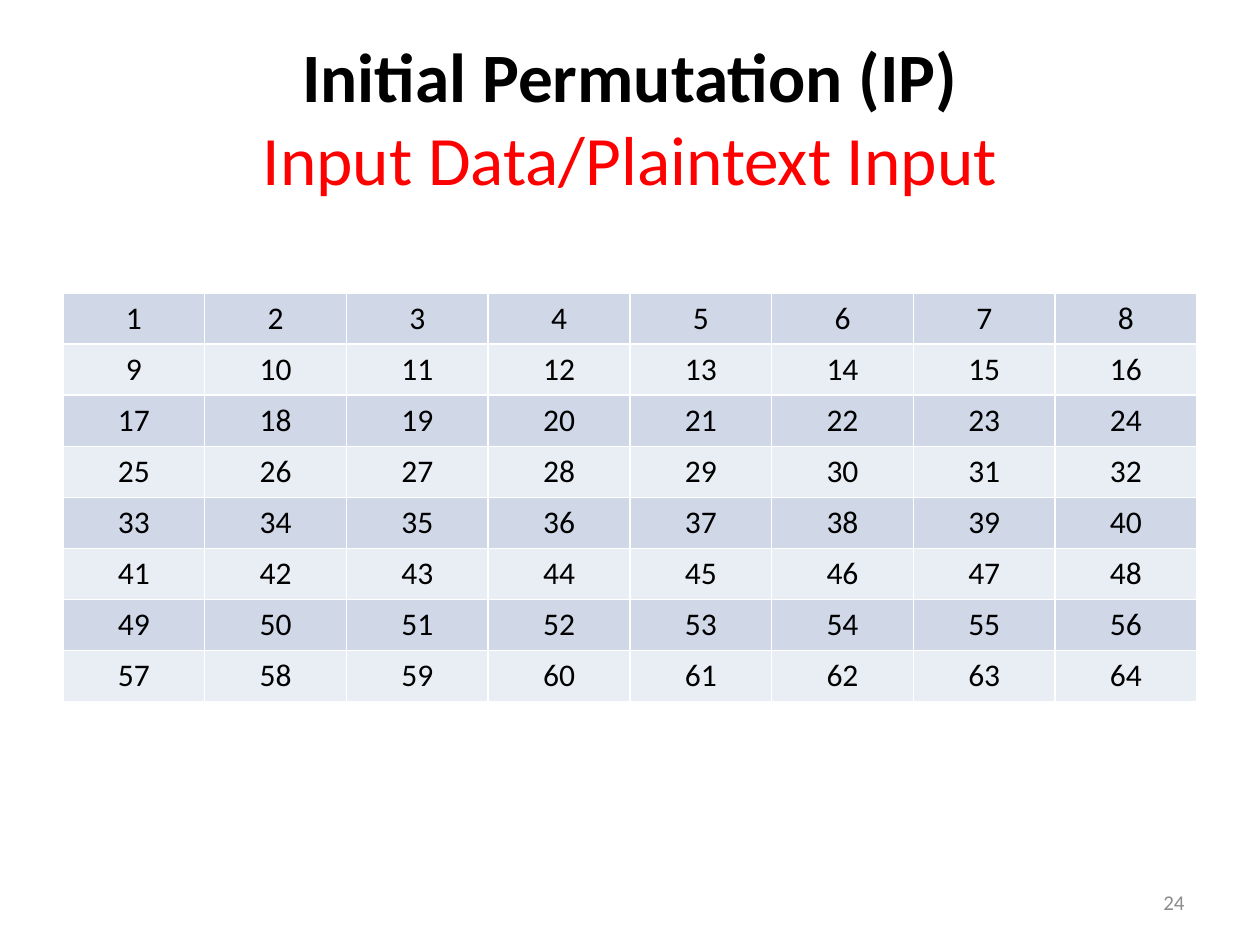
import dataclasses

import pptx
import pptx.dml.color
import pptx.enum.text
import pptx.oxml
import pptx.oxml.ns
import pptx.util

ALIGN = pptx.enum.text.PP_ALIGN
ANCHOR = pptx.enum.text.MSO_ANCHOR


@dataclasses.dataclass(frozen=True)
class Theme:
    """Colours, font and type sizes of the slide."""
    font: str = "Calibri"
    ink: str = "000000"
    accent: str = "FF0000"
    muted: str = "8C8C8C"
    border: str = "FFFFFF"
    bands: tuple = ("D0D8E8", "E9EDF4")
    title_size: float = 39.6
    cell_size: float = 18
    number_size: float = 12


class Deck:
    """Builds elements on the current slide from shares of its size."""

    def __init__(self, theme, width, height):
        """Start a presentation of the given size in inches."""
        self.theme = theme
        self.prs = pptx.Presentation()
        self.prs.slide_width = pptx.util.Inches(width)
        self.prs.slide_height = pptx.util.Inches(height)
        self.s = None

    def box(self, left, top, width, height):
        """Turn shares of the slide into lengths."""
        w, h = self.prs.slide_width, self.prs.slide_height
        return round(left * w), round(top * h), round(width * w), round(height * h)

    def add_run(self, p, text, size, color, bold=False):
        """Add a formatted run to a paragraph."""
        r = p.add_run()
        r.text = text
        formats = {"name": self.theme.font, "size": pptx.util.Pt(size), "bold": bold}
        for name, value in formats.items():
            setattr(r.font, name, value)
        r.font.color.rgb = pptx.dml.color.RGBColor.from_string(color)

    def format_frame(self, tf):
        """Wrap and centre a text frame vertically without resizing."""
        formats = {"word_wrap": True, "vertical_anchor": ANCHOR.MIDDLE,
                   "auto_size": pptx.enum.text.MSO_AUTO_SIZE.NONE}
        for name, value in formats.items():
            setattr(tf, name, value)

    def add_title(self, heading, subheading, box):
        """Add a title-only slide with a two-line title."""
        self.s = self.prs.slides.add_slide(self.prs.slide_layouts[5])
        sp = self.s.shapes.title
        for name, value in zip(("left", "top", "width", "height"), self.box(*box)):
            setattr(sp, name, value)
        self.format_frame(sp.text_frame)
        p = sp.text_frame.paragraphs[0]
        p.alignment = ALIGN.CENTER
        self.add_run(p, heading, self.theme.title_size, self.theme.ink, bold=True)
        p.add_line_break()
        self.add_run(p, subheading, self.theme.title_size, self.theme.accent)

    def add_borders(self, cell):
        """Draw a one-point line on each side of a cell."""
        props = cell._tc.get_or_add_tcPr()
        for i, side in enumerate(("lnL", "lnR", "lnT", "lnB")):
            props.insert(i, pptx.oxml.parse_xml(
                f'<a:{side} {pptx.oxml.ns.nsdecls("a")} w="12700"><a:solidFill>'
                f'<a:srgbClr val="{self.theme.border}"/></a:solidFill></a:{side}>'))

    def add_number_table(self, rows, cols, box):
        """Add a banded table counting up from one."""
        table = self.s.shapes.add_table(rows, cols, *self.box(*box)).table
        table.first_row = False
        for i, cell in enumerate(table.iter_cells()):
            cell.fill.solid()
            cell.fill.fore_color.rgb = pptx.dml.color.RGBColor.from_string(
                self.theme.bands[i // cols % 2])
            self.add_borders(cell)
            p = cell.text_frame.paragraphs[0]
            p.alignment = ALIGN.CENTER
            self.add_run(p, str(i + 1), self.theme.cell_size, self.theme.ink)

    def add_slide_number(self, number, box):
        """Add a right-aligned slide number."""
        tf = self.s.shapes.add_textbox(*self.box(*box)).text_frame
        self.format_frame(tf)
        p = tf.paragraphs[0]
        p.alignment = ALIGN.RIGHT
        self.add_run(p, str(number), self.theme.number_size, self.theme.muted)


def main():
    """Build and save the slide."""
    deck = Deck(Theme(), 10, 7.5)
    margin, content = 0.05, 0.9
    deck.add_title("Initial Permutation (IP)", "Input Data/Plaintext Input",
                   (margin, 0.04, content, 1 / 6))
    deck.add_number_table(8, 8, (margin, 0.31, content, 0.43))
    number_width = 0.23
    deck.add_slide_number(24, (1 - margin - number_width, 0.93, number_width, 0.05))
    deck.prs.save("out.pptx")


if __name__ == "__main__":
    main()
